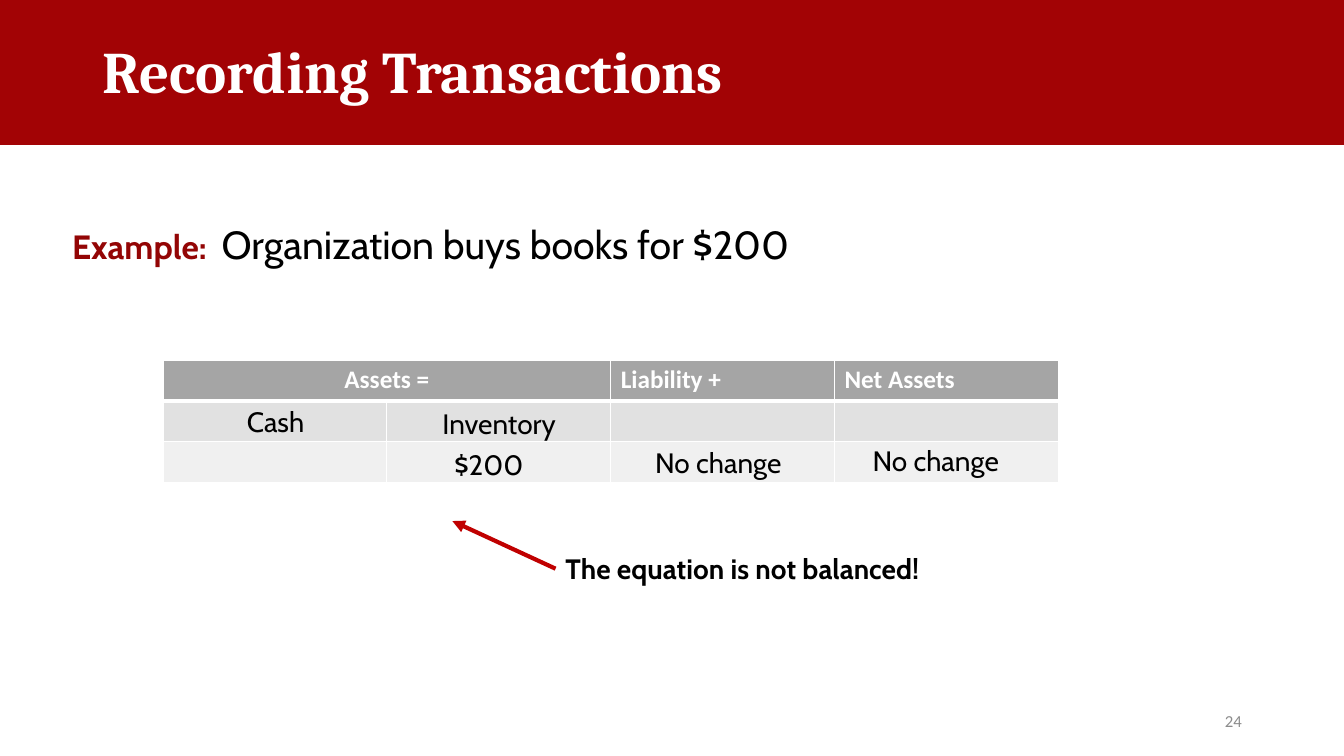
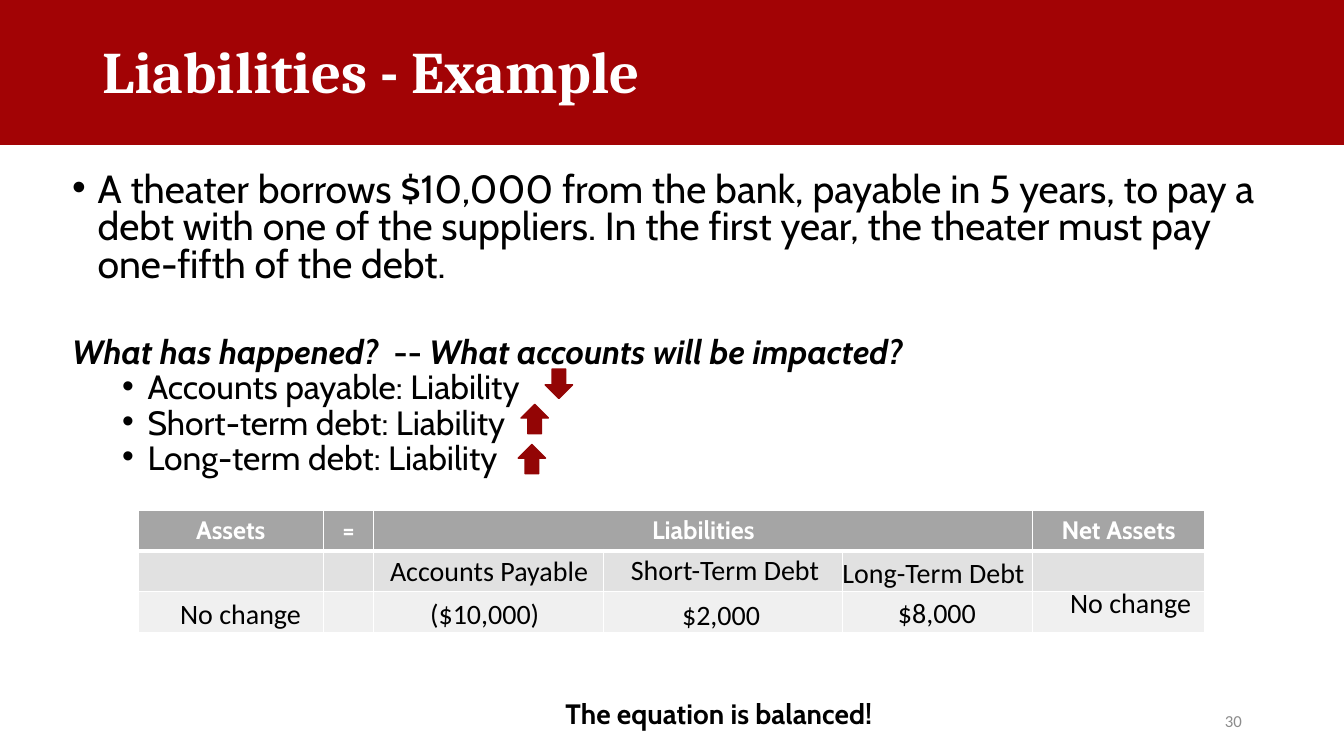
"""Build two accounting slides: recording a purchase and a liabilities example."""
from lxml import etree
from pptx import Presentation
from pptx.dml.color import RGBColor
from pptx.enum.shapes import MSO_CONNECTOR, MSO_SHAPE
from pptx.enum.text import MSO_ANCHOR, PP_ALIGN
from pptx.oxml.ns import qn
from pptx.util import Cm, Pt

LEFT, CENTER, RIGHT = PP_ALIGN.LEFT, PP_ALIGN.CENTER, PP_ALIGN.RIGHT
TOP, MIDDLE = MSO_ANCHOR.TOP, MSO_ANCHOR.MIDDLE
RECTANGLE, UP_ARROW = MSO_SHAPE.RECTANGLE, MSO_SHAPE.UP_ARROW
STRAIGHT = MSO_CONNECTOR.STRAIGHT

BAND_RED, DARK_RED, ARROW_RED = "A20305", "930505", "C00000"
BLACK, WHITE, NUMBER_GRAY = "000000", "FFFFFF", "8C8C8C"
ROW_FILLS = ["A5A5A5", "E1E1E1", "F0F0F0"]
ROW_HEIGHT = 1.03
LABEL_HEIGHT = 1.12
color = RGBColor.from_string


def add_block(page, kind, left, top, width, height, fill):
    """Add a preset shape whose fill and outline share one colour."""
    block = page.shapes.add_shape(kind, Cm(left), Cm(top), Cm(width), Cm(height))
    block.shadow.inherit = False
    block.fill.solid()
    block.fill.fore_color.rgb = color(fill)
    block.line.color.rgb = color(fill)
    block.line.width = Pt(1)
    return block


def add_text(page, text, left, top, width, height, font, size, ink=BLACK,
             bold=False, align=LEFT, anchor=TOP):
    """Add a wrapping text box with one paragraph."""
    box = page.shapes.add_textbox(Cm(left), Cm(top), Cm(width), Cm(height))
    box.text_frame.word_wrap = True
    box.text_frame.vertical_anchor = anchor
    para = box.text_frame.paragraphs[0]
    para.text = text
    para.alignment = align
    para.font.name = font
    para.font.size = Pt(size)
    para.font.bold = bold
    para.font.color.rgb = color(ink)
    return box


# Paragraph: indent or None, line spacing, space before, runs.
# Run: text, size, colour, bold, italic.
slides = [
    {
        "title": "Recording Transactions",
        "number": "24",
        "body_top": 5.65,
        "body": [
            (None, 0.8, 10, [("Example:  ", 24, DARK_RED, True, False),
                             ("Organization buys books for $200", 28, BLACK, False, False)]),
        ],
        "table_at": (4.11, 9.07),
        "columns": [5.64] * 4,
        "header_font": "Calibri",
        "headers": [(0, 1, "Assets =", CENTER), (2, 2, "Liability +", LEFT),
                    (3, 3, "Net Assets", LEFT)],
        "label_font": "Cabin",
        "label_width": 4.17,
        "labels": [("Cash", 5.97, 10.06), ("Inventory", 10.9, 10.11),
                   ("$200", 11.2, 11.15), ("No change", 16.26, 11.1),
                   ("No change", 21.74, 11.05)],
        "verdict": ("The equation is not balanced!", 13.77),
        "pointer_end": (11.4, 13.13),
        "trends": [],
    },
    {
        "title": "Liabilities - Example",
        "number": "30",
        "body_top": 4.24,
        "body": [
            (0.64, 0.8, 10, [("A theater borrows $10,000 from the bank, payable in 5 years, "
                              "to pay a debt with one of the suppliers. In the first year, "
                              "the theater must pay one-fifth of the debt.",
                              28, BLACK, False, False)]),
            (None, 0.7, 40, [("What has happened? ", 24, BLACK, True, True),
                             (" -- ", 24, BLACK, True, False),
                             ("What accounts will be impacted?", 24, BLACK, True, True)]),
        ] + [
            (1.9, 0.7, 5, [(f"{account}: Liability", 24, BLACK, False, False)])
            for account in ("Accounts payable", "Short-term debt", "Long-term debt")
        ],
        "table_at": (3.48, 12.85),
        "columns": [4.67, 1.27, 5.79, 6.02, 4.8, 4.32],
        "header_font": "Cabin",
        "headers": [(0, 0, "Assets", CENTER), (1, 1, "=", CENTER),
                    (2, 4, "Liabilities", CENTER), (5, 5, "Net Assets", CENTER)],
        "label_font": "Calibri",
        "label_width": 5.89,
        "labels": [("No change", 4.29, 14.91), ("Accounts Payable", 9.58, 13.82),
                   ("Short-Term Debt", 15.65, 13.79), ("Long-Term Debt", 20.98, 13.87),
                   ("($10,000)", 10.59, 14.91), ("$2,000", 16.94, 14.94),
                   ("$8,000", 22.38, 14.88), ("No change", 26.72, 14.63)],
        "verdict": ("The equation is balanced!", 17.42),
        "pointer_end": None,
        "trends": [(13.74, 9.3, 180), (13.13, 10.19, 0), (13.06, 11.2, 0)],
    },
]

deck = Presentation()
deck.slide_width, deck.slide_height = Cm(33.87), Cm(19.05)

for content in slides:
    page = deck.slides.add_slide(deck.slide_layouts[6])
    add_block(page, RECTANGLE, 0, -0.05, 33.87, 3.68, BAND_RED)
    title = add_text(page, content["title"], 2.34, 0.03, 29.21, 3.68, "Cambria", 42,
                     WHITE, True, anchor=MIDDLE)
    title.text_frame.paragraphs[0].line_spacing = 0.9
    add_text(page, content["number"], 23.93, 17.65, 7.62, 1.02, "Calibri", 12,
             NUMBER_GRAY, align=RIGHT, anchor=MIDDLE)

    body = page.shapes.add_textbox(Cm(1.57), Cm(content["body_top"]), Cm(30.99), Cm(7.98))
    frame = body.text_frame
    frame.word_wrap = True
    for index, (indent, spacing, before, spans) in enumerate(content["body"]):
        para = frame.add_paragraph() if index else frame.paragraphs[0]
        para.line_spacing = spacing
        para.space_before = Pt(before)
        para.font.name = "Cabin"
        if indent:
            properties = para._p.get_or_add_pPr()
            properties.set("marL", str(Cm(indent)))
            properties.set("indent", str(-Cm(0.64)))
            bullet_font = etree.SubElement(properties, qn("a:buFont"), typeface="Arial")
            bullet_font.addnext(etree.Element(qn("a:buChar"), char="•"))
            properties.append(properties.find(qn("a:defRPr")))
        for text, size, ink, bold, italic in spans:
            span = para.add_run()
            span.text = text
            span.font.name = "Cabin"
            span.font.size = Pt(size)
            span.font.color.rgb = color(ink)
            span.font.bold = bold
            span.font.italic = italic

    left, top = content["table_at"]
    widths = content["columns"]
    table = page.shapes.add_table(len(ROW_FILLS), len(widths), Cm(left), Cm(top),
                                  Cm(sum(widths)), Cm(ROW_HEIGHT * len(ROW_FILLS))).table
    for column, width in zip(table.columns, widths):
        column.width = Cm(width)
    for row_index, fill in enumerate(ROW_FILLS):
        table.rows[row_index].height = Cm(ROW_HEIGHT)
        for cell in table.rows[row_index].cells:
            borders = {"lnL": 1, "lnR": 1, "lnT": 3 if row_index == 1 else 1,
                       "lnB": 3 if row_index == 0 else 1}
            for side, points in borders.items():
                border = etree.SubElement(cell._tc.get_or_add_tcPr(), qn(f"a:{side}"),
                                          w=str(Pt(points)))
                paint = etree.SubElement(border, qn("a:solidFill"))
                etree.SubElement(paint, qn("a:srgbClr"), val=WHITE)
            cell.fill.solid()
            cell.fill.fore_color.rgb = color(fill)
    for first, last, text, align in content["headers"]:
        cell = table.cell(0, first)
        if last > first:
            cell.merge(table.cell(0, last))
        para = cell.text_frame.paragraphs[0]
        para.text = text
        para.alignment = align
        para.font.name = content["header_font"]
        para.font.size = Pt(18)
        para.font.bold = True
        para.font.color.rgb = color(WHITE)

    for text, left, top in content["labels"]:
        add_text(page, text, left, top, content["label_width"], LABEL_HEIGHT,
                 content["label_font"], 20)

    text, top = content["verdict"]
    verdict = add_text(page, text, 14, top, 9.93, LABEL_HEIGHT, "Cabin", 20, bold=True)
    if content["pointer_end"]:
        end_x, end_y = content["pointer_end"]
        pointer = page.shapes.add_connector(STRAIGHT, Cm(14), Cm(top + LABEL_HEIGHT / 2),
                                            Cm(end_x), Cm(end_y))
        pointer.begin_connect(verdict, 1)
        pointer.line.color.rgb = color(ARROW_RED)
        pointer.line.width = Pt(3)
        etree.SubElement(pointer.line._get_or_add_ln(), qn("a:tailEnd"), type="triangle")
        etree.SubElement(pointer._element.spPr, qn("a:effectLst"))

    for left, top, rotation in content["trends"]:
        trend = add_block(page, UP_ARROW, left, top, 0.69, 0.74, DARK_RED)
        trend.rotation = rotation

deck.save("out.pptx")
